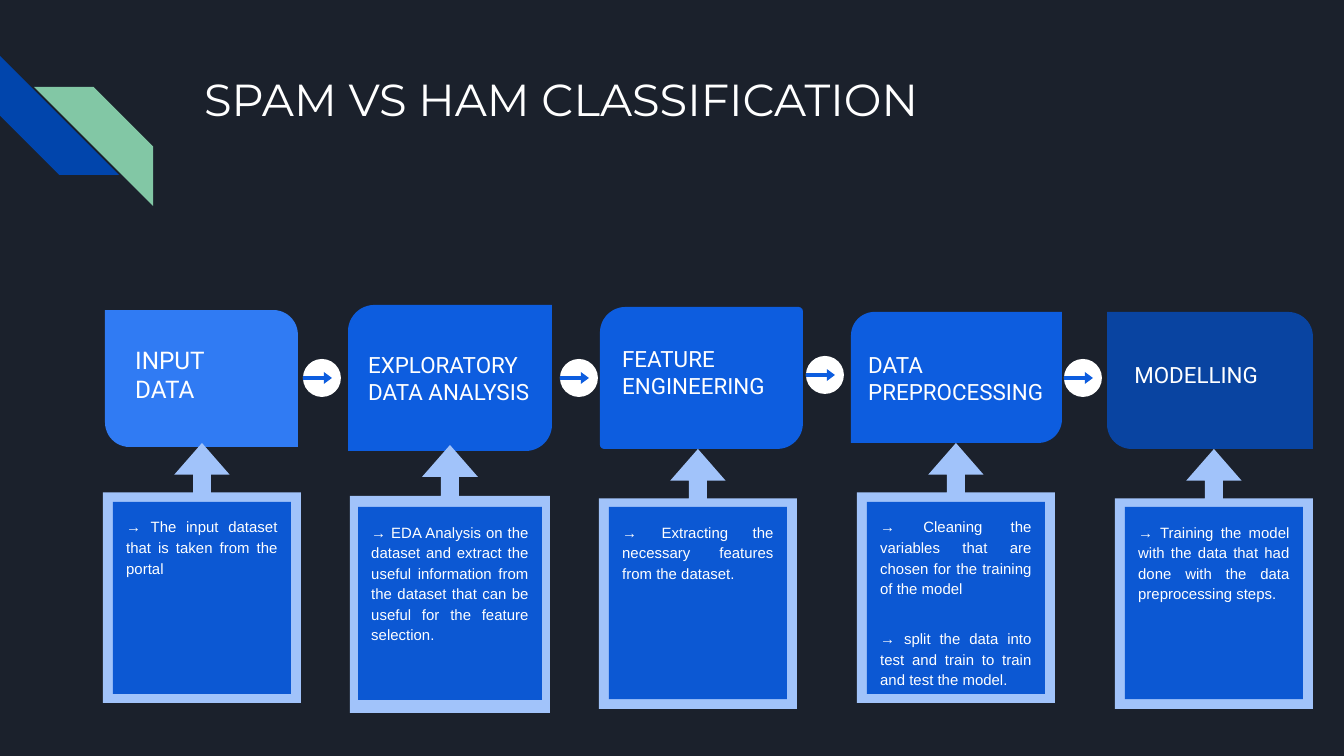
from pptx import Presentation
from pptx import util as u
from pptx.dml.color import RGBColor
from pptx.enum import shapes, text

PX = 914400 / 134.4
SHAPE = shapes.MSO_SHAPE
COLORS = {
    "background": "1B212C", "white": "FFFFFF", "stripe_blue": "0145AC",
    "stripe_green": "82C7A5", "light": "307BF3", "blue": "0D5DDF",
    "dark": "0944A1", "callout": "A1C3FA", "panel": "0C58D3",
}

TITLE = ("SPAM VS HAM CLASSIFICATION", (191, 58, 1035, 134))
# Card corners: (top left and bottom right, top right and bottom left)
STEPS = [
    {"heading": ["INPUT DATA"], "size": 13, "heading_box": (122, 332, 144, 71),
     "card": (105, 310, 193, 137), "corners": (0, 0.18), "color": "light",
     "callout": (103, 443, 198, 260), "panel": (113, 502, 178, 192),
     "body": ["→ The input dataset that is taken from the portal"]},
    {"heading": ["EXPLORATORY", "DATA ANALYSIS"], "size": 12, "heading_box": (355, 338, 198, 82),
     "card": (348, 305, 204, 146), "corners": (0.18, 0), "color": "blue",
     "callout": (350, 445, 200, 268), "panel": (358, 507, 184, 193),
     "body": ["→ EDA Analysis on the dataset and extract the useful information from "
              "the dataset that can be useful for the feature selection."]},
    {"heading": ["FEATURE ENGINEERING"], "size": 12, "heading_box": (609, 332, 185, 94),
     "card": (600, 307, 203, 142), "corners": (0.18, 0.03), "color": "blue",
     "callout": (599, 449, 198, 260), "panel": (609, 507, 178, 192),
     "body": ["→ Extracting the necessary features from the dataset."]},
    {"heading": ["DATA PREPROCESSING"], "size": 12, "heading_box": (855, 338, 204, 82),
     "card": (851, 312, 211, 131), "corners": (0.18, 0), "color": "blue",
     "callout": (857, 443, 198, 260), "panel": (867, 502, 178, 192),
     "body": ["→ Cleaning the variables that are chosen for the training of the model",
              "→ split the data into test and train to train and test the model."]},
    {"heading": ["MODELLING"], "size": 12, "heading_box": (1121, 348, 179, 60),
     "card": (1107, 312, 206, 137), "corners": (0, 0.18), "color": "dark",
     "callout": (1115, 449, 198, 260), "panel": (1125, 507, 178, 192),
     "body": ["→ Training the model with the data that had done with the data "
              "preprocessing steps."]},
]
DISCS = [(303, 359), (560, 359), (806, 356), (1064, 359)]
DISC_SIZE = 38


def emu(*lengths):
    return [round(length * PX) for length in lengths]


def rgb(name):
    return RGBColor.from_string(COLORS[name])


def add_filled(slide, kind, box, color, adjustments=(), rotation=0):
    shape = slide.shapes.add_shape(kind, *emu(*box))
    shape.shadow.inherit = False
    shape.fill.solid()
    shape.fill.fore_color.rgb = rgb(color)
    shape.line.fill.background()
    for index, value in enumerate(adjustments):
        shape.adjustments[index] = value
    shape.rotation = rotation
    return shape


def write(shape, lines, font, size, justified=False):
    frame = shape.text_frame
    frame.word_wrap = True
    frame.vertical_anchor = text.MSO_ANCHOR.TOP
    frame.margin_left = frame.margin_right = u.Inches(0.1)
    frame.margin_top = frame.margin_bottom = u.Inches(0.1)
    frame.text = "\n".join(lines)
    for paragraph in frame.paragraphs:
        paragraph.alignment = text.PP_ALIGN.JUSTIFY if justified else text.PP_ALIGN.LEFT
        if justified:
            paragraph.line_spacing = 1.15
            paragraph.space_after = u.Pt(16)
        for run in paragraph.runs:
            run.font.name = font
            run.font.size = u.Pt(size)
            run.font.color.rgb = rgb("white")


def add_text(slide, lines, box, font, size):
    write(slide.shapes.add_textbox(*emu(*box)), lines, font, size)


def add_up_callout(slide, box):
    """Turn a right-arrow callout upwards so that it covers the given box."""
    left, top, width, height = box
    shift = (height - width) / 2
    add_filled(slide, SHAPE.RIGHT_ARROW_CALLOUT, (left - shift, top + shift, height, width),
               "callout", (0.09, 0.14, 0.16, 0.81), 270)


def add_step(slide, step):
    add_filled(slide, SHAPE.ROUND_2_DIAG_RECTANGLE, step["card"], step["color"], step["corners"])
    add_text(slide, step["heading"], step["heading_box"], "Roboto", step["size"])
    add_up_callout(slide, step["callout"])
    panel = add_filled(slide, SHAPE.SNIP_1_RECTANGLE, step["panel"], "panel", (0,))
    write(panel, step["body"], "Arial", 8, justified=True)


def add_arrow_disc(slide, left, top):
    add_filled(slide, SHAPE.OVAL, (left, top, DISC_SIZE, DISC_SIZE), "white")
    add_filled(slide, SHAPE.RIGHT_ARROW, (left, top + 13, 29, 12), "blue", (0.32, 0.67))


def main():
    presentation = Presentation()
    presentation.slide_width, presentation.slide_height = emu(1344, 756)
    slide = presentation.slides.add_slide(presentation.slide_layouts[6])
    slide.background.fill.solid()
    slide.background.fill.fore_color.rgb = rgb("background")

    # A quarter or half turn gives the stripes their falling slope
    add_filled(slide, SHAPE.DIAGONAL_STRIPE, (0, 56, 119, 119), "stripe_blue", (0.5,), 270)
    add_filled(slide, SHAPE.DIAGONAL_STRIPE, (34, 87, 119, 119), "stripe_green", (0.5,), 90)
    title, title_box = TITLE
    add_text(slide, [title], title_box, "Montserrat", 24)

    for step in STEPS:
        add_step(slide, step)
    for left, top in DISCS:
        add_arrow_disc(slide, left, top)
    presentation.save("out.pptx")


if __name__ == "__main__":
    main()
